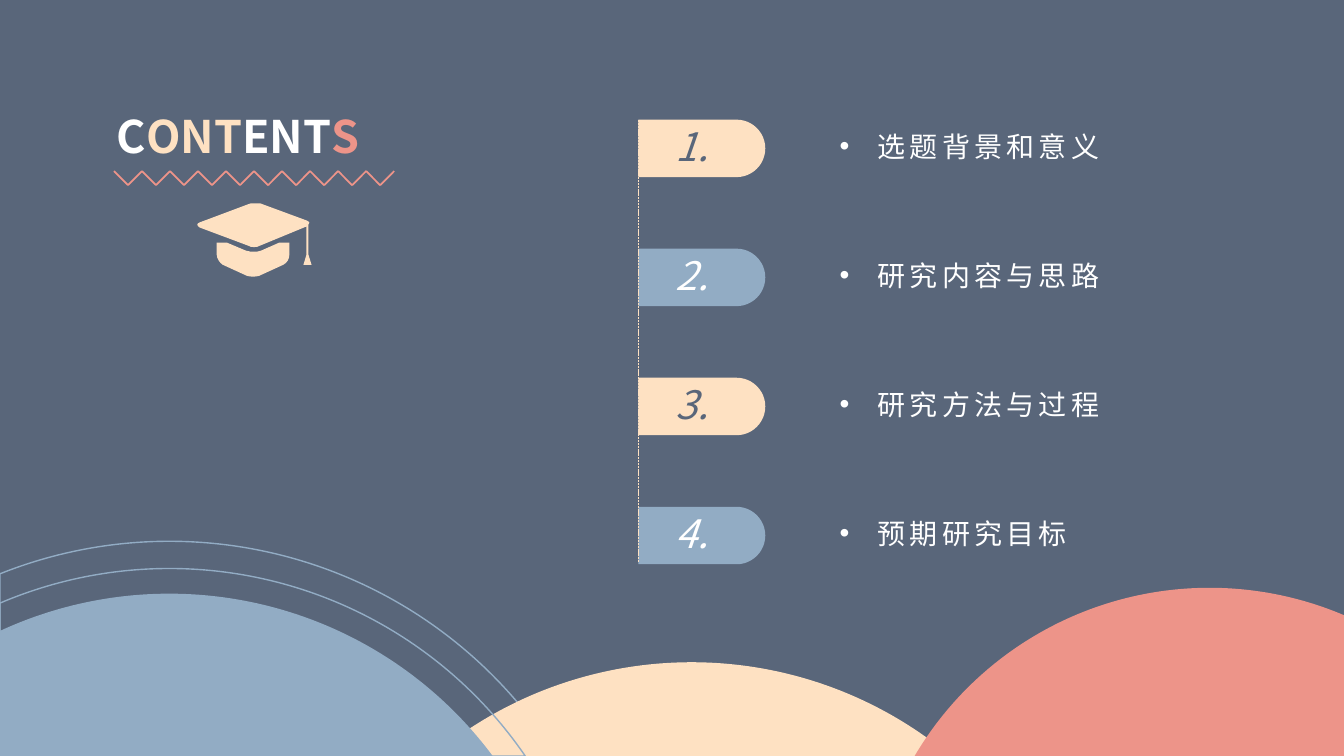
import math
from dataclasses import dataclass

from lxml import etree
from pptx import Presentation
from pptx import util as u
from pptx.dml.color import RGBColor
from pptx.enum import dml, shapes, text
from pptx.oxml import ns

WIDTH, HEIGHT = u.Inches(13.33), u.Inches(7.5)


@dataclass(frozen=True)
class Theme:
    slate: str = "59667A"
    blue: str = "92ACC4"
    cream: str = "FEE1C2"
    coral: str = "ED9489"
    white: str = "FFFFFF"
    font: str = "Noto Sans CJK SC"
    title: int = 32
    number: int = 28
    topic: int = 20


THEME = Theme()
HILLS = [
    (12.6, 71.6, 33.98, None, THEME.blue),
    (51.46, 87.6, 30.08, THEME.cream, None),
    (12.6, 78.53, 30, THEME.blue, None),
    (12.6, 75.2, 32.1, None, THEME.blue),
    (90, 77.75, 25.5, THEME.coral, None),
]
TOPICS = ["选题背景和意义", "研究内容与思路", "研究方法与过程", "预期研究目标"]
TITLE = [("C", THEME.white), ("ONT", THEME.cream), ("ENT", THEME.white), ("S", THEME.coral)]
CAP_BASE = [(20, 39), (30, 39), (49, 47), (52, 48, 55, 48, 56, 48), (59, 48, 62, 48, 64, 47),
            (82, 39), (92, 39), (92, 51), (92, 55, 90, 59, 86, 61), (62, 72),
            (59, 73, 53, 73, 50, 72), (26, 61), (23, 59, 20, 55, 20, 51)]
CAP_BOARD = [(57, 0), (59, 0, 61, 0, 63, 0), (109, 17), (112, 18, 113, 20, 111, 21),
             (111, 51), (114, 61), (106, 61), (109, 51), (109, 23), (63, 42),
             (60, 44, 54, 44, 51, 42), (3, 24), (0, 22, 0, 20, 3, 19), (51, 1),
             (52, 0, 55, 0, 57, 0)]
TAG_LEFT, TAG_TOP, TAG_WIDTH, TAG_HEIGHT, ROW_PITCH = 47.49, 15.83, 9.45, 7.6, 17.07


def across(percent):
    return round(WIDTH * percent / 100)


def down(percent):
    return round(HEIGHT * percent / 100)


def paint(shape, fill=None, outline=None):
    shape.shadow.inherit = False
    if fill:
        shape.fill.solid()
        shape.fill.fore_color.rgb = RGBColor.from_string(fill)
    else:
        shape.fill.background()
    if outline:
        shape.line.color.rgb = RGBColor.from_string(outline)
        shape.line.width = u.Pt(1)
    else:
        shape.line.fill.background()


def add_outline(slide, contours, fill=None, outline=None):
    builder = slide.shapes.build_freeform(*contours[0][0], scale=1.0)
    for index, contour in enumerate(contours):
        if index:
            builder.move_to(*contour[0])
        points = [part[i:i + 2] for part in contour[1:] for i in range(0, len(part), 2)]
        builder.add_line_segments(points, close=True)
    shape = builder.convert_to_shape()
    lines = iter(list(shape._element.iter(ns.qn("a:lnTo"))))
    for part in (part for contour in contours for part in contour[1:]):
        legs = [next(lines) for _ in range(len(part) // 2)]
        if len(legs) == 3:
            legs[0].addprevious(curve := etree.Element(ns.qn("a:cubicBezTo")))
            for leg in legs:
                curve.append(leg[0])
                leg.getparent().remove(leg)
    paint(shape, fill, outline)


def add_hill(slide, center, top, radius, fill, outline):
    middle, crest, reach = across(center), down(top), across(radius)
    half = math.sqrt(reach**2 - (reach - (HEIGHT - crest))**2)
    left, right = max(0, middle - half), min(WIDTH, middle + half)

    def at(angle, slope=0):
        x = middle + reach * (math.sin(angle) + slope * math.cos(angle))
        y = crest + reach * (1 - math.cos(angle) + slope * math.sin(angle))
        return round(x), round(y)

    def arc(start, end):
        pull = 4 / 3 * math.tan((end - start) / 4)
        return at(start, pull) + at(end, -pull) + at(end)

    first, last = (math.asin((edge - middle) / reach) for edge in (left, right))
    contour = [at(first), arc(first, 0), arc(0, last), (round(right), HEIGHT)]
    if left == 0:
        contour.append((0, HEIGHT))
    add_outline(slide, [contour], fill, outline)


def add_cap(slide, left, top, unit):
    origin = across(left), down(top)
    contours = [[tuple(origin[i % 2] + value * unit for i, value in enumerate(part))
                 for part in piece] for piece in (CAP_BASE, CAP_BOARD)]
    add_outline(slide, contours, THEME.cream)


def add_line(parent, start, end, color, width, dash=None):
    line = parent.shapes.add_connector(
        shapes.MSO_CONNECTOR.STRAIGHT, across(start[0]), down(start[1]),
        across(end[0]), down(end[1]))
    line.line.color.rgb = RGBColor.from_string(color)
    line.line.width = u.Pt(width)
    if dash:
        line.line.dash_style = dash
    etree.SubElement(line._element.spPr, ns.qn("a:effectLst"))


def add_label(slide, box, pieces, size, align=None, bold=False, italic=False):
    left, top, width, height = box
    frame = slide.shapes.add_textbox(
        across(left), down(top), across(width), down(height)).text_frame
    frame.word_wrap = True
    frame.auto_size = text.MSO_AUTO_SIZE.SHAPE_TO_FIT_TEXT
    paragraph = frame.paragraphs[0]
    paragraph.alignment = align
    for words, color in pieces:
        run = paragraph.add_run()
        run.text = words
        run.font.size = u.Pt(size)
        run.font.bold, run.font.italic = bold, italic
        run.font.color.rgb = RGBColor.from_string(color)
        run.font.name = THEME.font
        east_asian = etree.SubElement(run._r.get_or_add_rPr(), ns.qn("a:ea"))
        east_asian.set("typeface", THEME.font)
    return paragraph


def add_bullet(paragraph):
    indent = u.Pt(27)
    properties = paragraph._p.get_or_add_pPr()
    properties.set("marL", str(indent))
    properties.set("indent", str(-indent))
    etree.SubElement(properties, ns.qn("a:buFont")).set("typeface", "Arial")
    etree.SubElement(properties, ns.qn("a:buChar")).set("char", "•")


def add_topic(slide, index, topic):
    tag_color, number_color = [(THEME.cream, THEME.slate), (THEME.blue, THEME.white)][index % 2]
    top = TAG_TOP + index * ROW_PITCH
    length, thickness = across(TAG_WIDTH), down(TAG_HEIGHT)
    shift = (length - thickness) // 2
    tag = slide.shapes.add_shape(
        shapes.MSO_SHAPE.ROUND_2_SAME_RECTANGLE, across(TAG_LEFT) + shift,
        down(top) - shift, thickness, length)
    tag.rotation = 90
    tag.adjustments[0], tag.adjustments[1] = 0.5, 0
    paint(tag, tag_color)
    entry = add_label(slide, (61.74, top + 0.62, 28.06, 5.87), [(topic, THEME.white)], THEME.topic)
    add_bullet(entry)
    for run in entry.runs:
        run._r.get_or_add_rPr().set("spc", "300")
    add_label(slide, (46.06, top - 0.28, 10.88, TAG_HEIGHT), [(f"{index + 1}.", number_color)],
              THEME.number, text.PP_ALIGN.CENTER, italic=True)


def add_zigzag(slide, left, right, top, bottom, strokes):
    zigzag = slide.shapes.add_group_shape()
    step = (right - left) / strokes
    peaks = [(left + i * step, (top, bottom)[i % 2]) for i in range(strokes + 1)]
    for start, end in zip(peaks, peaks[1:]):
        add_line(zigzag, start, end, THEME.coral, 1.25)


def main():
    deck = Presentation()
    deck.slide_width, deck.slide_height = WIDTH, HEIGHT
    slide = deck.slides.add_slide(deck.slide_layouts[6])
    slide.background.fill.solid()
    slide.background.fill.fore_color.rgb = RGBColor.from_string(THEME.slate)
    for hill in HILLS:
        add_hill(slide, *hill)
    for index, topic in enumerate(TOPICS):
        add_topic(slide, index, topic)
    add_label(slide, (7.95, 13.73, 21.91, 8.53), TITLE, THEME.title,
              text.PP_ALIGN.JUSTIFY, bold=True)
    add_zigzag(slide, 8.48, 29.33, 22.63, 24.5, 20)
    add_cap(slide, 14.63, 26.9, u.Inches(0.01))
    add_line(slide, (TAG_LEFT, 15.87), (TAG_LEFT, 74.4), THEME.cream, 0.5,
             dml.MSO_LINE.SQUARE_DOT)
    deck.save("out.pptx")


if __name__ == "__main__":
    main()
